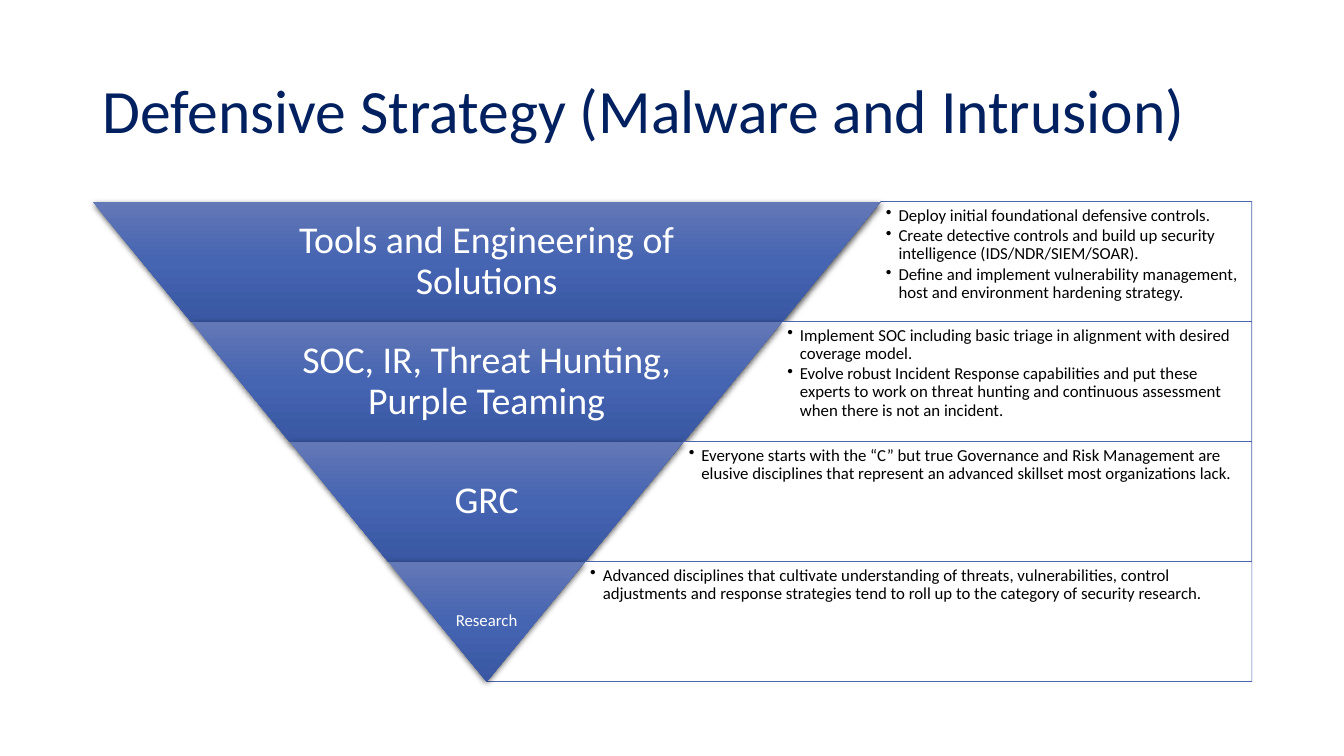
from dataclasses import dataclass

from lxml.etree import SubElement
from pptx import Presentation
from pptx.dml.color import RGBColor
from pptx.enum.shapes import MSO_SHAPE
from pptx.enum.text import MSO_ANCHOR, PP_ALIGN
from pptx.oxml import parse_xml
from pptx.oxml.ns import nsdecls, qn
from pptx.shapes.autoshape import Shape
from pptx.slide import Slide
from pptx.util import Pt

NAVY = RGBColor(0x00, 0x20, 0x60)
BLUE_LINE = RGBColor(0x4A, 0x66, 0xAC)
WHITE = RGBColor(0xFF, 0xFF, 0xFF)
BLACK = RGBColor(0x00, 0x00, 0x00)
TIER_GRADIENT = (
    (0, RGBColor(0x63, 0x78, 0xB7)),
    (50, RGBColor(0x45, 0x64, 0xB1)),
    (100, RGBColor(0x39, 0x57, 0xA2)),
)

FONT = "Calibri"
LEFT, TOP, RIGHT = 66, 144, 894.2
TIER_HEIGHT = 85.7
SLANT = 70.4
SLANT_RATIO = SLANT / TIER_HEIGHT


@dataclass(frozen=True)
class Tier:
    label: str
    points: tuple[str, ...]
    label_size: float = 27
    label_inset: float = 0.175


TIERS = (
    Tier(
        "Tools and Engineering of Solutions",
        (
            "Deploy initial foundational defensive controls.",
            "Create detective controls and build up security intelligence (IDS/NDR/SIEM/SOAR).",
            "Define and implement vulnerability management, host and environment hardening strategy.",
        ),
    ),
    Tier(
        "SOC, IR, Threat Hunting, Purple Teaming",
        (
            "Implement SOC including basic triage in alignment with desired coverage model.",
            "Evolve robust Incident Response capabilities and put these experts to work on "
            "threat hunting and continuous assessment when there is not an incident.",
        ),
    ),
    Tier(
        "GRC",
        (
            "Everyone starts with the “C” but true Governance and Risk Management are elusive "
            "disciplines that represent an advanced skillset most organizations lack.",
        ),
    ),
    Tier(
        "Research",
        (
            "Advanced disciplines that cultivate understanding of threats, vulnerabilities, control "
            "adjustments and response strategies tend to roll up to the category of security research.",
        ),
        label_size=12,
        label_inset=0,
    ),
)


@dataclass(frozen=True)
class Box:
    left: float
    top: float
    width: float
    height: float

    def lengths(self) -> tuple[Pt, Pt, Pt, Pt]:
        return Pt(self.left), Pt(self.top), Pt(self.width), Pt(self.height)


def add_text(
    slide: Slide,
    box: Box,
    lines: tuple[str, ...],
    size: float,
    color: RGBColor,
    margin: float | None = None,
    anchor: MSO_ANCHOR = MSO_ANCHOR.MIDDLE,
    align: PP_ALIGN = PP_ALIGN.LEFT,
    bulleted: bool = False,
) -> None:
    frame = slide.shapes.add_textbox(*box.lengths()).text_frame
    frame.word_wrap = True
    frame.vertical_anchor = anchor
    if margin is not None:
        frame.margin_left = frame.margin_right = Pt(margin)
        frame.margin_top = frame.margin_bottom = Pt(margin)
    frame.text = "\n".join(lines)
    for paragraph in frame.paragraphs:
        paragraph.alignment = align
        paragraph.line_spacing = 0.9
        paragraph.font.name = FONT
        paragraph.font.size = Pt(size)
        paragraph.font.color.rgb = color
        if bulleted:
            paragraph.space_after = Pt(size * 0.15)
            add_bullet(paragraph)


def add_bullet(paragraph) -> None:
    properties = paragraph.font._element.getparent()
    properties.set("marL", str(Pt(9)))
    properties.set("indent", str(-Pt(9)))
    bullet = parse_xml(f'<a:buChar {nsdecls("a")} char="•"/>')
    properties.find(qn("a:defRPr")).addprevious(bullet)


def add_panel(slide: Slide, box: Box) -> None:
    panel = slide.shapes.add_shape(MSO_SHAPE.NON_ISOSCELES_TRAPEZOID, *box.lengths())
    panel.adjustments[0] = SLANT_RATIO
    panel.adjustments[1] = 0
    panel.shadow.inherit = False
    panel.fill.solid()
    panel.fill.fore_color.rgb = WHITE
    fill_color = panel.element.spPr.find(f"{qn('a:solidFill')}/{qn('a:srgbClr')}")
    SubElement(fill_color, qn("a:alpha"), val="90000")
    panel.line.color.rgb = BLUE_LINE
    panel.line.width = Pt(0.5)


def shade_tier(band: Shape) -> None:
    stops = "".join(
        f'<a:gs pos="{percent * 1000}"><a:srgbClr val="{color}"/></a:gs>'
        for percent, color in TIER_GRADIENT
    )
    gradient = parse_xml(
        f'<a:gradFill {nsdecls("a")} rotWithShape="0"><a:gsLst>{stops}</a:gsLst>'
        '<a:lin ang="5400000" scaled="0"/></a:gradFill>'
    )
    shadow = parse_xml(
        f'<a:outerShdw {nsdecls("a")} blurRad="{Pt(4.5)}" dist="{Pt(1.5)}" dir="5400000" '
        'algn="ctr" rotWithShape="0"><a:srgbClr val="000000"><a:alpha val="63000"/>'
        "</a:srgbClr></a:outerShdw>"
    )
    properties = band.element.spPr
    properties.find(qn("a:prstGeom")).addnext(gradient)
    properties.find(qn("a:effectLst")).append(shadow)


def add_band(slide: Slide, box: Box) -> None:
    band = slide.shapes.add_shape(MSO_SHAPE.TRAPEZOID, *box.lengths())
    band.adjustments[0] = SLANT_RATIO
    band.rotation = 180
    band.line.fill.background()
    band.shadow.inherit = False
    shade_tier(band)


def add_tier(slide: Slide, index: int, tier: Tier) -> None:
    top = TOP + index * TIER_HEIGHT
    left = LEFT + index * SLANT
    width = 2 * SLANT * (len(TIERS) - index)
    band_right = left + width
    panel_left = band_right - SLANT
    inset = width * tier.label_inset

    add_panel(slide, Box(panel_left, top, RIGHT - panel_left, TIER_HEIGHT))
    add_text(
        slide, Box(band_right, top, RIGHT - band_right, TIER_HEIGHT), tier.points, 12, BLACK,
        margin=3.6, anchor=MSO_ANCHOR.TOP, bulleted=True,
    )
    add_band(slide, Box(left, top, width, TIER_HEIGHT))
    add_text(
        slide, Box(left + inset, top, width - 2 * inset, TIER_HEIGHT), (tier.label,),
        tier.label_size, WHITE, margin=tier.label_size / 10, align=PP_ALIGN.CENTER,
    )


def main() -> None:
    presentation = Presentation()
    presentation.slide_width, presentation.slide_height = Pt(960), Pt(540)
    slide = presentation.slides.add_slide(presentation.slide_layouts[6])
    title = ("Defensive Strategy (Malware and Intrusion)",)
    add_text(slide, Box(LEFT, 28.75, 828, 104.4), title, 44, NAVY)
    for index, tier in enumerate(TIERS):
        add_tier(slide, index, tier)
    presentation.save("out.pptx")


if __name__ == "__main__":
    main()
